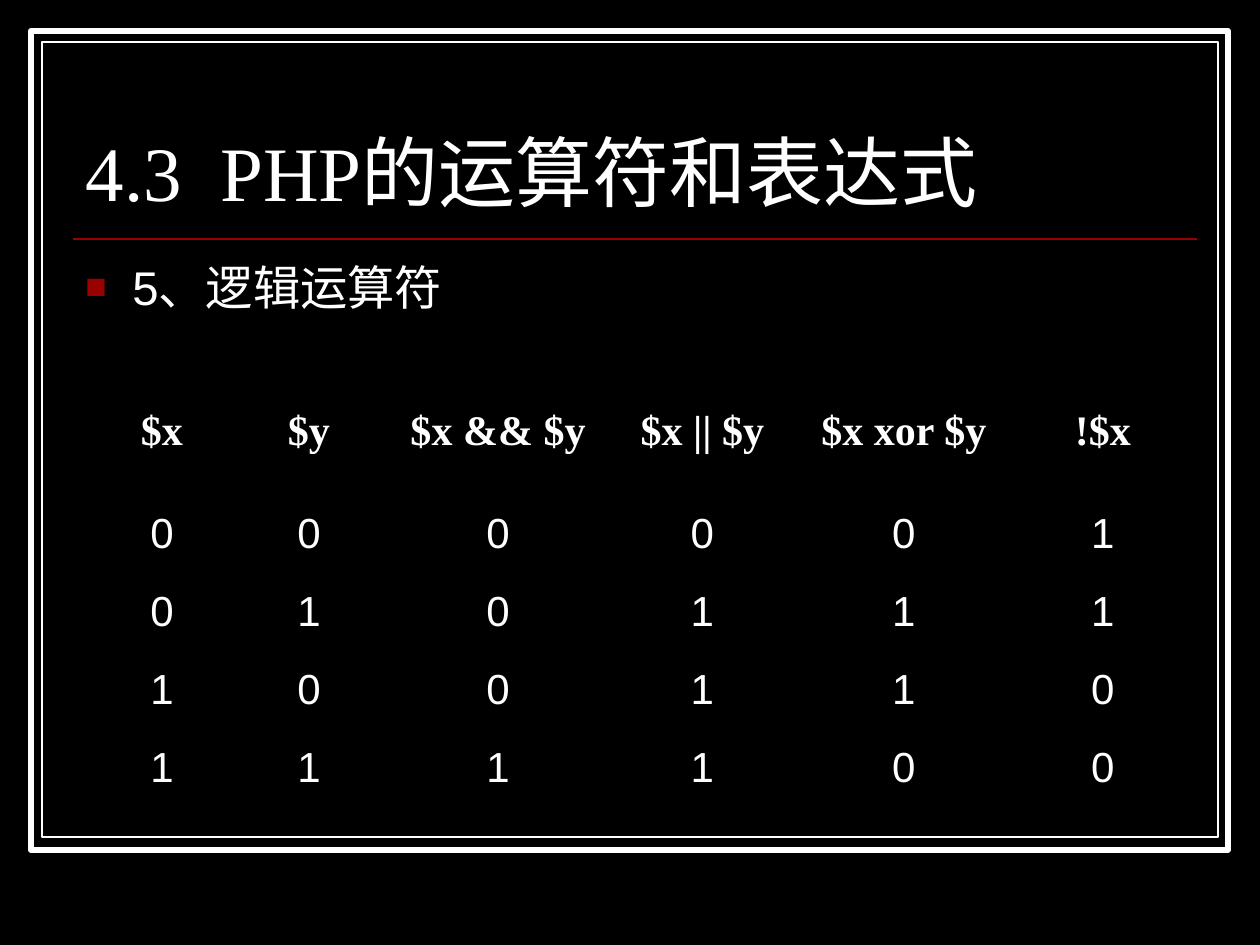
"""Build the slide on PHP logical operators with its truth table."""
from lxml import etree
from pptx import Presentation
from pptx import util as u
from pptx.dml.color import RGBColor
from pptx.enum import shapes, text
from pptx.oxml import ns

PX = 914400 // 126
COLOURS = {"black": "000000", "white": "FFFFFF", "red": "990000"}
SERIF, SANS = "Times New Roman", "Arial"

TITLE = "4.3\tPHP的运算符和表达式"
TOPIC = "5、逻辑运算符"
TRUTH_TABLE = [
    ("$x", "$y", "$x && $y", "$x || $y", "$x xor $y", "!$x"),
    ("0", "0", "0", "0", "0", "1"),
    ("0", "1", "0", "1", "1", "1"),
    ("1", "0", "0", "1", "1", "0"),
    ("1", "1", "1", "1", "0", "0"),
]

FRAMES = [((31, 31, 1197, 819), 3.5), ((42, 42, 1176, 795), 0.75)]
RULE = (73, 239, 1197, 239)
TITLE_BOX = (73, 66, 1124, 157)
TITLE_TAB = 135
TOPIC_BOX = (73, 252, 551, 557)
TOPIC_INDENT = 47
TABLE_ORIGIN = (94, 368)
COLUMN_WIDTHS = (136, 158, 220, 189, 214, 184)
ROW_HEIGHTS = (127, 78, 78, 78, 78)


def colour(name):
    return RGBColor.from_string(COLOURS[name])


def emu(lengths):
    return [length * PX for length in lengths]


def add_xml(parent, tag, **attributes):
    return etree.SubElement(parent, ns.qn(tag), attributes)


def set_font(paragraph, name, size, bold=False):
    font = paragraph.font
    font.name, font.size, font.bold = name, u.Pt(size), bold
    font.color.rgb = colour("white")


def add_frame(slide, box, width):
    frame = slide.shapes.add_shape(shapes.MSO_SHAPE.RECTANGLE, *emu(box))
    frame.shadow.inherit = False
    frame.fill.solid()
    frame.fill.fore_color.rgb = colour("black")
    frame.line.color.rgb = colour("white")
    frame.line.width = u.Pt(width)


def add_rule(slide):
    rule = slide.shapes.add_connector(shapes.MSO_CONNECTOR.STRAIGHT, *emu(RULE))
    rule.line.color.rgb = colour("red")
    rule.line.width = u.Pt(1)
    add_xml(rule.element.spPr, "a:effectLst")


def place_title(slide):
    title = slide.shapes.title
    slide.shapes.element.append(title.element)
    title.left, title.top, title.width, title.height = emu(TITLE_BOX)
    frame = title.text_frame
    frame.text = TITLE
    frame.auto_size = text.MSO_AUTO_SIZE.NONE
    frame.vertical_anchor = text.MSO_ANCHOR.BOTTOM
    paragraph = frame.paragraphs[0]
    paragraph.alignment = text.PP_ALIGN.LEFT
    paragraph.line_spacing = 0.8
    tabs = add_xml(paragraph._p.get_or_add_pPr(), "a:tabLst")
    add_xml(tabs, "a:tab", pos=str(TITLE_TAB * PX), algn="l")
    set_font(paragraph, SERIF, 44)


def add_topic(slide):
    frame = slide.shapes.add_textbox(*emu(TOPIC_BOX)).text_frame
    frame.word_wrap = True
    frame.text = TOPIC
    paragraph = frame.paragraphs[0]
    properties = paragraph._p.get_or_add_pPr()
    properties.set("marL", str(TOPIC_INDENT * PX))
    properties.set("indent", str(-TOPIC_INDENT * PX))
    bullet_colour = add_xml(properties, "a:buClr")
    add_xml(bullet_colour, "a:srgbClr", val=COLOURS["red"])
    add_xml(properties, "a:buSzPct", val="75000")
    add_xml(properties, "a:buFont", typeface=SANS)
    add_xml(properties, "a:buChar", char="■")
    set_font(paragraph, SANS, 27)


def format_cell(cell, value, is_header):
    properties = cell._tc.get_or_add_tcPr()
    for side in ("a:lnL", "a:lnR", "a:lnT", "a:lnB"):
        border = add_xml(properties, side, w=str(u.Pt(0.34)))
        fill = add_xml(border, "a:solidFill")
        add_xml(fill, "a:srgbClr", val=COLOURS["black"])
    cell.fill.background()
    cell.vertical_anchor = text.MSO_ANCHOR.MIDDLE
    cell.text = value
    paragraph = cell.text_frame.paragraphs[0]
    paragraph.alignment = text.PP_ALIGN.CENTER
    set_font(paragraph, SERIF if is_header else SANS, 24, is_header)


def add_truth_table(slide):
    size = (sum(COLUMN_WIDTHS), sum(ROW_HEIGHTS))
    table = slide.shapes.add_table(
        len(ROW_HEIGHTS), len(COLUMN_WIDTHS), *emu(TABLE_ORIGIN + size)).table
    table.first_row = table.horz_banding = False
    for column, width in zip(table.columns, emu(COLUMN_WIDTHS)):
        column.width = width
    for row, height in zip(table.rows, emu(ROW_HEIGHTS)):
        row.height = height
    for row_index, values in enumerate(TRUTH_TABLE):
        for column_index, value in enumerate(values):
            format_cell(table.cell(row_index, column_index), value, row_index == 0)


def main():
    presentation = Presentation()
    presentation.slide_width, presentation.slide_height = u.Inches(10), u.Inches(7.5)
    slide = presentation.slides.add_slide(presentation.slide_layouts[5])
    slide.background.fill.solid()
    slide.background.fill.fore_color.rgb = colour("black")
    for box, width in FRAMES:
        add_frame(slide, box, width)
    add_rule(slide)
    place_title(slide)
    add_topic(slide)
    add_truth_table(slide)
    presentation.save("out.pptx")


if __name__ == "__main__":
    main()
